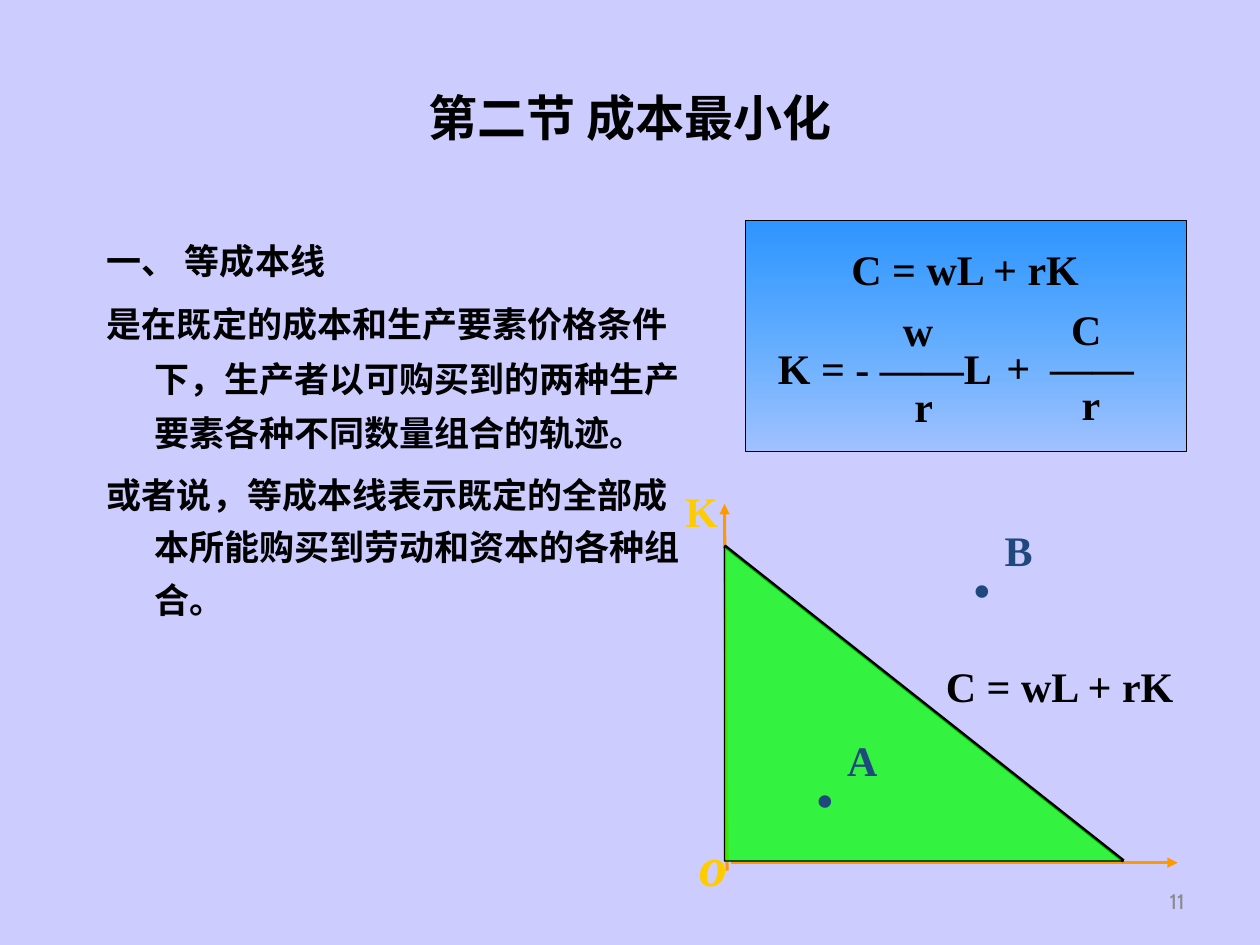
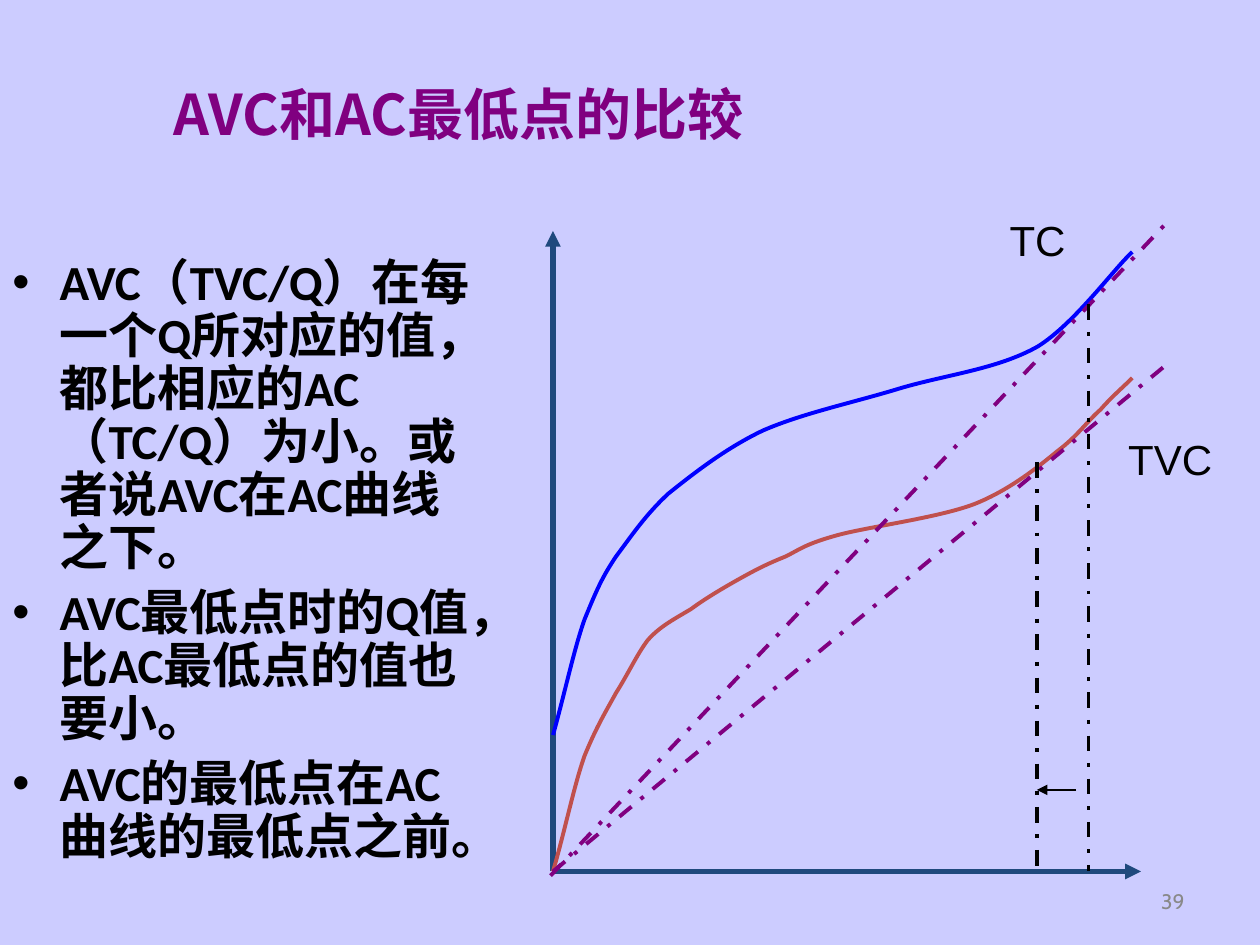
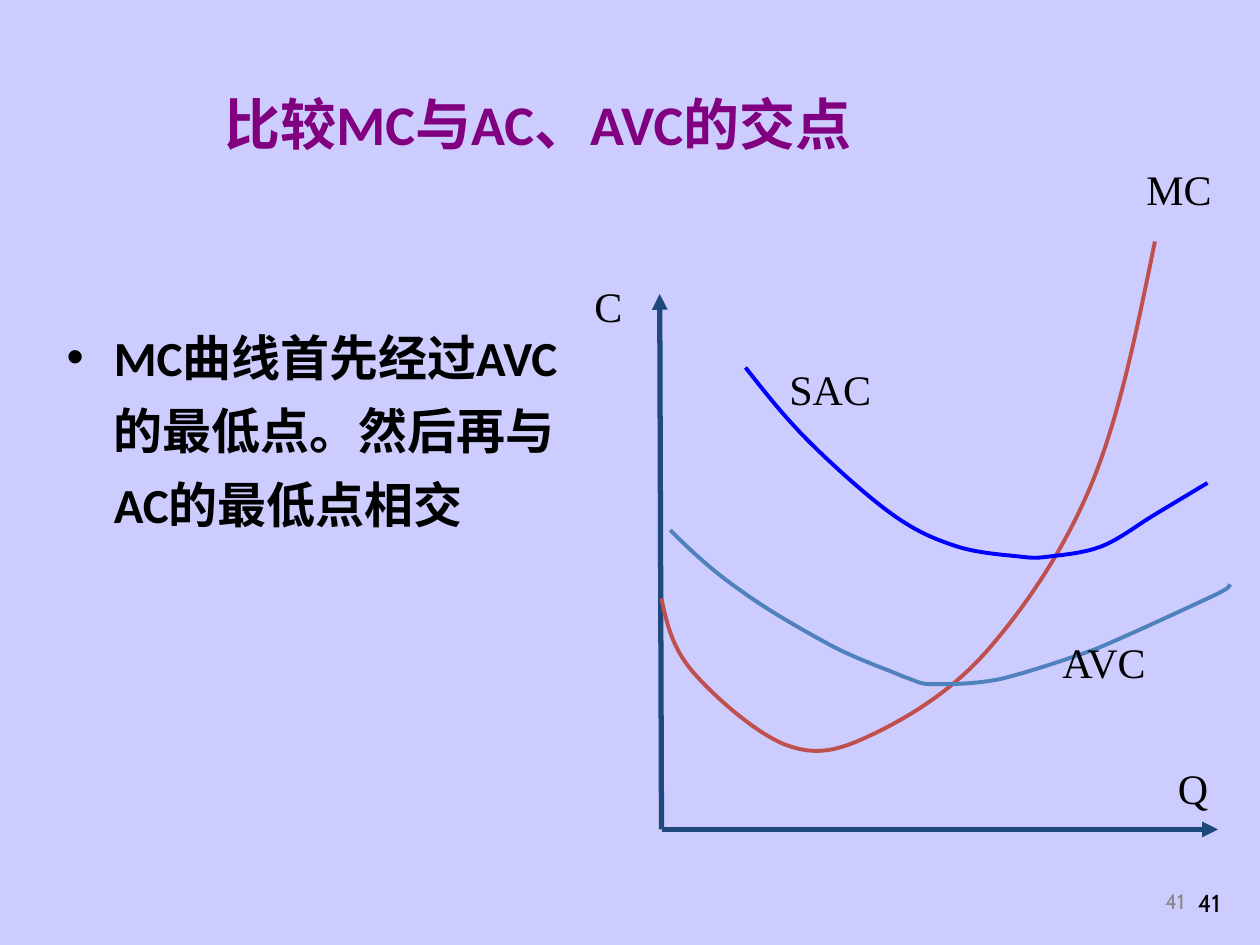
from dataclasses import dataclass, replace

from lxml.etree import SubElement
from pptx import Presentation
from pptx.dml.color import RGBColor as RGB
from pptx.enum.dml import MSO_LINE as Dash
from pptx.enum.shapes import MSO_CONNECTOR as Link, MSO_SHAPE as Form
from pptx.enum.text import MSO_ANCHOR as Anchor, PP_ALIGN as Align
from pptx.oxml.ns import qn
from pptx.oxml.xmlchemy import OxmlElement as Element
from pptx.util import Pt


# Theme: colours, fonts and type sizes
@dataclass(frozen=True)
class Theme:
    back: str = "CCCCFF"
    ink: str = "000000"
    plum: str = "800080"
    navy: str = "1F497D"
    gold: str = "FFCC00"
    orange: str = "FF9900"
    green: str = "00FF00"
    blue: str = "0000FF"
    red: str = "C0504D"
    steel: str = "4F81BD"
    grey: str = "898989"
    sky: tuple = (("2592FF", 95), ("0099FF", 20))
    sans: str = "Calibri"
    body: str = "Cabin"
    serif: str = "Times New Roman"
    plain: str = "Arial"
    cjk: str = "Noto Sans CJK SC"
    dot: int = 44
    head: int = 32
    large: int = 28
    label: int = 24
    small: int = 20
    page: int = 14
    foot: int = 12


T = Theme()


@dataclass(frozen=True)
class Style:
    font: str
    size: int
    color: str = T.ink
    bold: bool = False
    italic: bool = False
    align: Align = Align.LEFT
    lead: float = 1.0
    before: int = 0
    hang: int = 0
    bullet: bool = False


HEAD = Style(T.sans, T.head, T.plum, bold=True, align=Align.CENTER)
FOOT = Style(T.body, T.foot, T.grey, align=Align.RIGHT)
BODY = Style(T.body, T.small, bold=True, lead=1.3, before=5, hang=27)
LIST = Style(T.sans, T.large, bold=True, lead=0.9, before=7, hang=27, bullet=True)
MATH = Style(T.serif, T.label, bold=True, align=Align.CENTER, lead=0.75)
AXIS = replace(MATH, color=T.gold, lead=1.4)
POINT = Style(T.serif, T.label, T.navy, bold=True)
DOT = replace(POINT, size=T.dot, align=Align.CENTER, lead=1.4)
NAME = Style(T.serif, T.label)
CURVE = Style(T.plain, T.label, align=Align.CENTER, lead=0.9)

INSET = (7.2, 3.6, 7.2, 3.6)
TIGHT = (20, 0, 3, 12)


# Text
def frame(slide, area, inset=INSET, anchor=Anchor.TOP, wrap=True):
    body = slide.shapes.add_textbox(*map(Pt, area)).text_frame
    body.word_wrap = wrap
    body.vertical_anchor = anchor
    (body.margin_left, body.margin_top,
     body.margin_right, body.margin_bottom) = map(Pt, inset)
    return body


def para(body, words, style):
    first = not body.text
    item = body.paragraphs[0] if first else body.add_paragraph()
    item.text = words
    item.alignment = style.align
    item.line_spacing = style.lead
    if style.before and not first:
        item.space_before = Pt(style.before)
    props = item._p.get_or_add_pPr()
    if style.hang:
        props.set("marL", str(Pt(style.hang)))
        props.set("indent", str(-Pt(style.hang)))
    if style.bullet:
        SubElement(props, qn("a:buFont"), typeface=T.plain)
        SubElement(props, qn("a:buChar"), char="•")
    font = item.font
    font.name, font.size = style.font, Pt(style.size)
    font.bold, font.italic = style.bold, style.italic
    font.color.rgb = RGB.from_string(style.color)
    return props


def label(slide, area, words, style, **opts):
    para(frame(slide, area, **opts), words, style)


def bullets(slide, area, style, *items):
    body = frame(slide, area)
    for words in items:
        para(body, words, style)


def fraction(slide, area, rows, stop=None):
    body = frame(slide, area, TIGHT)
    for words, shift in rows:
        props = para(body, words, replace(MATH, align=Align.LEFT))
        props.set("marL", str(Pt(shift)))
        if stop and "\t" in words:
            tabs = Element("a:tabLst")
            SubElement(tabs, qn("a:tab"), pos=str(Pt(stop)), algn="l")
            props.insert_element_before(tabs, "a:defRPr", "a:extLst")


# Lines, curves and filled shapes
def stroke(shape, color, width):
    shape.line.color.rgb = RGB.from_string(color)
    shape.line.width = Pt(width)


def line(slide, start, end, color, width, dash=None, arrow=False):
    link = slide.shapes.add_connector(Link.STRAIGHT, *map(Pt, (*start, *end)))
    stroke(link, color, width)
    if dash:
        link.line.dash_style = dash
    if arrow:
        SubElement(link.line._get_or_add_ln(), qn("a:tailEnd"), type="triangle")
    SubElement(link._element.spPr, qn("a:effectLst"))


def axes(slide, zero, right, top):
    for end in (right, top):
        line(slide, zero, end, T.navy, 3, arrow=True)


def curve(slide, color, points):
    """Draw a start point followed by triples of cubic control points."""
    spots = [(Pt(x), Pt(y)) for x, y in points]
    pen = slide.shapes.build_freeform(*spots[0])
    pen.add_line_segments(spots[1:], close=False)
    shape = pen.convert_to_shape()
    track = next(shape._element.iter(qn("a:path")))
    steps = track.findall(qn("a:lnTo"))
    for i in range(0, len(steps), 3):
        bend = SubElement(track, qn("a:cubicBezTo"))
        for step in steps[i:i + 3]:
            bend.append(step[0])
            track.remove(step)
    shape.fill.background()
    shape.shadow.inherit = False
    stroke(shape, color, 2.25)


def fade(shape, *levels):
    tints = list(shape._element.spPr.iter(qn("a:srgbClr")))
    for tint, level in zip(tints, levels):
        SubElement(tint, qn("a:alpha"), val=str(level * 1000))


def solid(slide, form, area, color, level):
    shape = slide.shapes.add_shape(form, *map(Pt, area))
    shape.shadow.inherit = False
    shape.fill.solid()
    shape.fill.fore_color.rgb = RGB.from_string(color)
    fade(shape, level)
    stroke(shape, T.ink, 0.75)


def panel(slide, area):
    shape = slide.shapes.add_shape(Form.RECTANGLE, *map(Pt, area))
    shape.shadow.inherit = False
    shape.fill.gradient()
    shape.fill.gradient_angle = 270
    for stop, (color, _) in zip(shape.fill.gradient_stops, T.sky):
        stop.color.rgb = RGB.from_string(color)
    fade(shape, *(level for _, level in T.sky))
    stroke(shape, T.ink, 0.75)


def spot(slide, name, left, top, gap):
    """Draw a dot with its letter to the upper right."""
    label(slide, (left + 33, top + gap, 31, 36), name, POINT, wrap=False)
    label(slide, (left, top, 34, 86), "·", DOT, inset=TIGHT)


# Slide base: background, title and page number
def page(deck, title, area, number, style=HEAD):
    slide = deck.slides.add_slide(deck.slide_layouts[6])
    fill = slide.background.fill
    fill.solid()
    fill.fore_color.rgb = RGB.from_string(T.back)
    label(slide, area, title, style, anchor=Anchor.MIDDLE)
    label(slide, (516, 500.5, 168, 29), number, FOOT, anchor=Anchor.MIDDLE)
    return slide


# Slides
def isocost(deck):
    slide = page(deck, "第二节 成本最小化", (36, 21.6, 648, 90), "11",
                 replace(HEAD, size=T.large, color=T.ink))
    body = frame(slide, (54, 126, 342, 378))
    para(body, "一、 等成本线", BODY)
    para(body, "是在既定的成本和生产要素价格条件下，生产者以可购买到的两种生产"
               "要素各种不同数量组合的轨迹。", BODY)
    para(body, "或者说，等成本线表示既定的全部成本所能购买到劳动和资本的各种组合。",
         replace(BODY, font=T.serif, lead=1.25))

    # Axes
    line(slide, (418, 493), (673, 493), T.orange, 1.75, arrow=True)
    line(slide, (415.5, 497.5), (414, 288), T.orange, 1.75, arrow=True)
    label(slide, (379.5, 459, 39, 66), "o",
          replace(AXIS, size=T.head, italic=True), inset=TIGHT, wrap=False)
    label(slide, (371.5, 265.7, 42, 52.6), "K", AXIS, inset=TIGHT, wrap=False)

    # Equations
    panel(slide, (426, 126, 252, 132))
    fraction(slide, (424.5, 180.7, 156, 80),
             [("w", 71.5), ("K = - ——L", 0), ("r", 78)])
    fraction(slide, (555, 180, 120, 77),
             [("C", 37), ("+\t——", 0), ("r", 43)], stop=25)
    label(slide, (426, 146, 234, 36.7), "C = wL + rK", MATH, inset=TIGHT)

    # Cost line and the area below it
    line(slide, (414, 312), (642, 492), T.ink, 2)
    spot(slide, "B", 534, 288, 8)
    label(slide, (498, 384, 198, 36.7), "C = wL + rK", MATH, inset=TIGHT)
    solid(slide, Form.RIGHT_TRIANGLE, (414, 312, 228, 180), T.green, 75)
    spot(slide, "A", 444, 408, 8)


def lowest(deck):
    slide = page(deck, "AVC和AC最低点的比较", (31, 31.7, 462, 66), "39",
                 replace(HEAD, font=T.cjk))
    bullets(slide, (0, 144, 286.5, 376), LIST,
            "AVC（TVC/Q）在每一个Q所对应的值，都比相应的AC（TC/Q）为小。"
            "或者说AVC在AC曲线之下。",
            "AVC最低点时的Q值，比AC最低点的值也要小。",
            "AVC的最低点在AC曲线的最低点之前。")
    axes(slide, (316, 498), (652, 498), (316, 132))

    # Total cost and total variable cost
    curve(slide, T.blue, [
        (316, 420), (323, 395), (328, 371), (334, 354),
        (341, 337), (344, 330), (352, 318), (361, 306), (369, 294), (382, 282),
        (397, 270), (415, 256), (436, 246), (459, 236), (488, 230), (514, 222),
        (541, 214), (570, 211), (593, 198), (614, 185), (637, 153), (647, 144)])
    curve(slide, T.red, [
        (316, 498), (323, 474), (328, 449), (334, 432),
        (341, 415), (346, 407), (352, 396), (359, 385), (364, 374), (370, 366),
        (377, 358), (385, 354), (395, 348), (403, 342), (415, 335), (424, 330),
        (433, 325), (439, 322), (449, 318), (457, 314), (460, 311), (478, 306),
        (496, 301), (536, 296), (557, 288), (577, 280), (593, 267), (604, 258),
        (616, 249), (621, 241), (629, 234), (635, 227), (641, 222), (647, 216)])

    # Tangent rays and drop lines
    for start, end, color in (((314.6, 500.4), (666, 128), T.plum),
                              ((622, 174), (622, 498), T.ink),
                              ((316, 498), (664.6, 210), T.plum),
                              ((592.5, 264), (592.5, 498), T.ink)):
        line(slide, start, end, color, 2.25, dash=Dash.DASH_DOT)
    line(slide, (615, 451.4), (592.5, 451.4), T.ink, 0.75, arrow=True)
    label(slide, (558.7, 122.4, 68.4, 33), "TC", CURVE)
    label(slide, (632, 247.7, 73.4, 33), "TVC", CURVE)


def crossing(deck):
    slide = page(deck, "比较MC与AC、AVC的交点", (76.3, 31.7, 462, 77), "41")
    bullets(slide, (31, 175, 305.3, 322), replace(LIST, lead=1.25, before=0),
            "MC曲线首先经过AVC的最低点。然后再与AC的最低点相交")
    label(slide, (554.4, 492, 150, 36), "41",
          replace(FOOT, size=T.page, color=T.ink), anchor=Anchor.BOTTOM)
    axes(slide, (378, 474), (696, 474), (377, 168))

    # MC, AVC and SAC
    curve(slide, T.red, [
        (378, 342), (381, 356), (384, 370), (396, 384),
        (408, 398), (433, 420), (450, 426), (467, 432), (479, 429), (498, 420),
        (517, 411), (543, 396), (564, 372), (585, 348), (608, 315), (624, 276),
        (640, 237), (650, 187), (660, 138)])
    curve(slide, T.steel, [
        (383, 303), (395, 315), (408, 327), (424, 338),
        (439, 349), (462, 362), (477, 370), (493, 378), (508, 383), (517, 387),
        (526, 390), (525, 391), (534, 391), (544, 391), (557, 391), (572, 388),
        (588, 384), (606, 378), (626, 371), (645, 363), (675, 349), (688, 343),
        (701, 337), (702, 336), (703, 334)])
    curve(slide, T.blue, [
        (426, 210), (437, 224), (448, 238), (462, 252),
        (476, 266), (496, 284), (510, 294), (524, 304), (534, 308), (546, 312),
        (558, 316), (573, 317), (582, 318), (591, 319), (592, 319), (600, 318),
        (608, 317), (620, 316), (630, 312), (640, 308), (650, 300), (660, 294),
        (670, 288), (680, 282), (690, 276)])
    for words, left, top, width in (("C", 332.6, 157, 50), ("Q", 666, 432, 54),
                                    ("MC", 648, 90, 66), ("SAC", 444, 204, 84),
                                    ("AVC", 600, 360, 96)):
        label(slide, (left, top, width, 36), words, NAME)


def main():
    deck = Presentation()
    deck.slide_width, deck.slide_height = Pt(720), Pt(540)
    isocost(deck)
    lowest(deck)
    crossing(deck)
    deck.save("out.pptx")


if __name__ == "__main__":
    main()
